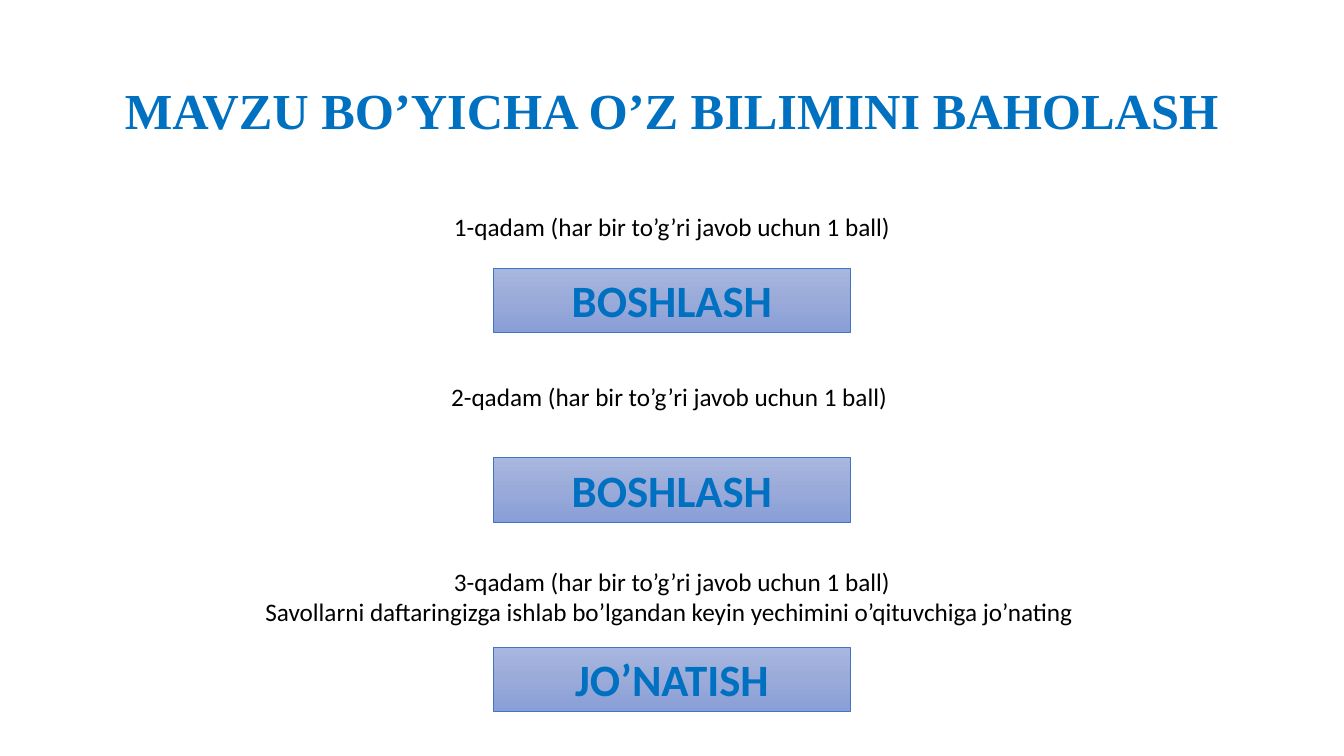
from copy import deepcopy
from dataclasses import dataclass

from pptx import Presentation
from pptx.dml.color import RGBColor
from pptx.enum.shapes import MSO_SHAPE
from pptx.enum.text import MSO_ANCHOR, MSO_AUTO_SIZE, PP_ALIGN
from pptx.util import Inches, Pt

WIDE, HIGH = Inches(13.333), Inches(7.5)
COL, ROW = WIDE / 100, HIGH / 100
BLUE, BLACK, EDGE = "0070C0", "000000", "4472C4"
FADE = ((0, "A8B7DF"), (0.5, "9AABD9"), (1, "889ED7"))
FIRST, STEP = 35.47, 25.07


@dataclass
class Font:
    name: str
    size: int
    hue: str
    bold: bool = False


@dataclass
class Stage:
    top: float
    width: float
    height: float
    lines: tuple[str, ...]
    label: str
    align: PP_ALIGN = PP_ALIGN.CENTER


HEAD = Font("Times New Roman", 36, BLUE, True)
NOTE = Font("Calibri", 18, BLACK)
PUSH = Font("Calibri", 32, BLUE, True)

STAGES = (
    Stage(27.33, 34.35, 5.33,
          ("1-qadam (har bir to’g’ri javob uchun 1 ball)",), "BOSHLASH"),
    Stage(49.73, 34.35, 5.33,
          ("2-qadam (har bir to’g’ri javob uchun 1 ball)",), "BOSHLASH",
          PP_ALIGN.LEFT),
    Stage(74.27, 62.8, 9.47,
          ("3-qadam (har bir to’g’ri javob uchun 1 ball)",
           "Savollarni daftaringizga ishlab bo’lgandan keyin yechimini "
           "o’qituvchiga jo’nating "), "JO’NATISH"),
)


def color(code: str) -> RGBColor:
    return RGBColor.from_string(code)


def center(top: float, width: float, height: float) -> tuple[int, ...]:
    left = (100 - width) / 2
    return (round(left * COL), round(top * ROW),
            round(width * COL), round(height * ROW))


def write(frame, lines: tuple[str, ...], font: Font, align: PP_ALIGN) -> None:
    for i, line in enumerate(lines):
        para = frame.add_paragraph() if i else frame.paragraphs[0]
        para.alignment = align
        run = para.add_run()
        run.text = line
        run.font.name = font.name
        run.font.size = Pt(font.size)
        run.font.bold = font.bold
        run.font.color.rgb = color(font.hue)


def shade(shape) -> None:
    fill = shape.fill
    fill.gradient()
    fill.gradient_angle = 270
    first = shape.element.spPr.xpath("./a:gradFill/a:gsLst/a:gs")[0]
    first.addnext(deepcopy(first))
    for stop, (place, code) in zip(fill.gradient_stops, FADE):
        stop.position = place
        stop.color.rgb = color(code)


def title(slide, text: str) -> None:
    head = slide.shapes.title
    head.left, head.top, head.width, head.height = center(5.33, 86.25, 19.33)
    frame = head.text_frame
    frame.word_wrap = True
    frame.vertical_anchor = MSO_ANCHOR.MIDDLE
    write(frame, (text,), HEAD, PP_ALIGN.CENTER)
    frame.paragraphs[0].line_spacing = 0.9


def button(slide, top: float, label: str) -> None:
    shape = slide.shapes.add_shape(MSO_SHAPE.RECTANGLE, *center(top, 26.55, 8.53))
    shape.shadow.inherit = False
    shade(shape)
    shape.line.color.rgb = color(EDGE)
    shape.line.width = Pt(0.5)
    frame = shape.text_frame
    frame.word_wrap = True
    frame.auto_size = MSO_AUTO_SIZE.SHAPE_TO_FIT_TEXT
    frame.vertical_anchor = MSO_ANCHOR.TOP
    write(frame, (label,), PUSH, PP_ALIGN.CENTER)


def note(slide, stage: Stage) -> None:
    box = slide.shapes.add_textbox(*center(stage.top, stage.width, stage.height))
    frame = box.text_frame
    frame.word_wrap = False
    frame.auto_size = MSO_AUTO_SIZE.SHAPE_TO_FIT_TEXT
    write(frame, stage.lines, NOTE, stage.align)


def main() -> None:
    deck = Presentation()
    deck.slide_width, deck.slide_height = WIDE, HIGH
    slide = deck.slides.add_slide(deck.slide_layouts[5])
    title(slide, "MAVZU BO’YICHA O’Z BILIMINI BAHOLASH")
    for i, stage in enumerate(STAGES):
        button(slide, FIRST + i * STEP, stage.label)
        note(slide, stage)
    deck.save("out.pptx")


if __name__ == "__main__":
    main()
